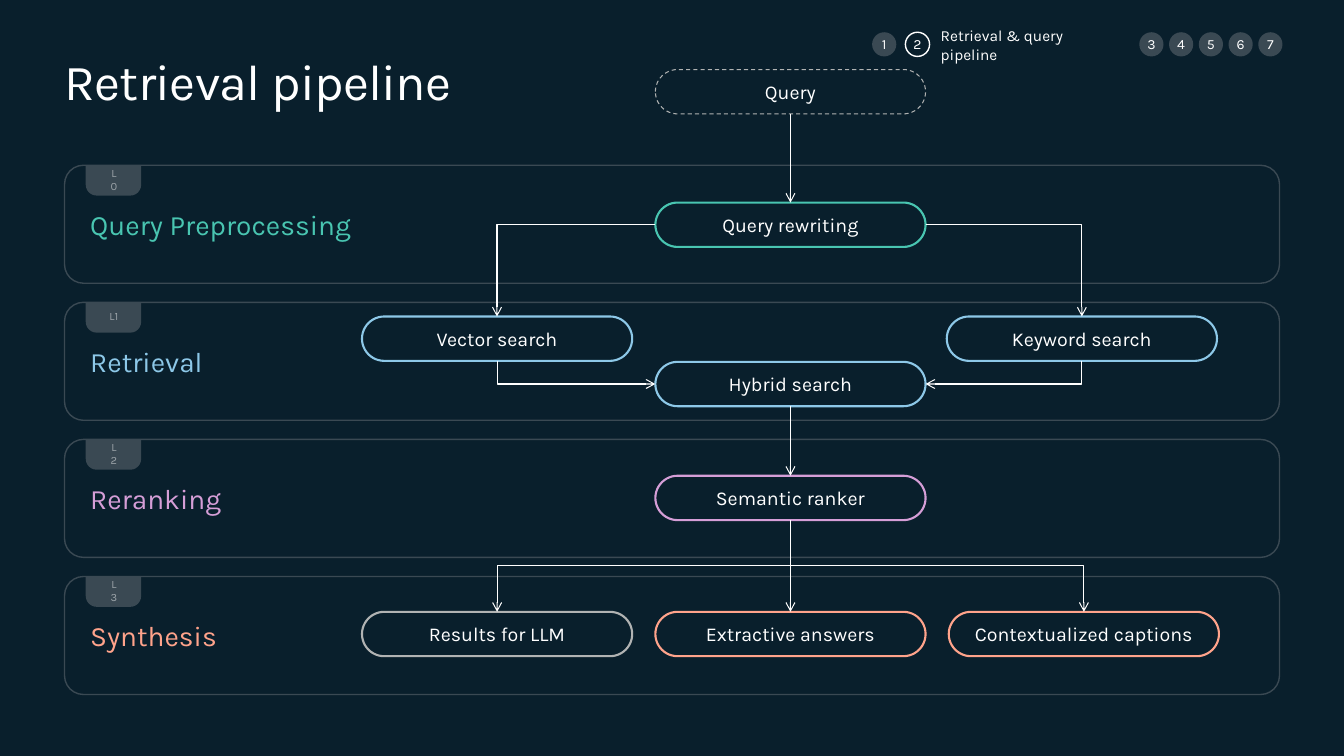
from lxml import etree
from pptx import Presentation
from pptx.dml.color import RGBColor
from pptx.enum.dml import MSO_LINE
from pptx.enum.shapes import MSO_CONNECTOR, MSO_SHAPE
from pptx.enum.text import MSO_ANCHOR, PP_ALIGN
from pptx.oxml.ns import qn
from pptx.util import Inches, Pt

ROUND, OVAL = MSO_SHAPE.ROUNDED_RECTANGLE, MSO_SHAPE.OVAL
TAB = MSO_SHAPE.ROUND_2_SAME_RECTANGLE
STRAIGHT, ELBOW = MSO_CONNECTOR.STRAIGHT, MSO_CONNECTOR.ELBOW
TOP, MIDDLE = MSO_ANCHOR.TOP, MSO_ANCHOR.MIDDLE
LEFT, CENTER = PP_ALIGN.LEFT, PP_ALIGN.CENTER
DASH = MSO_LINE.DASH

FONT = "Karla"
COLORS = {
    "back": "091F2C", "white": "FFFFFF", "slate": "3A4953", "gray": "B1B3B3",
    "teal": "49C5B1", "blue": "8DC8E8", "pink": "D59ED7", "coral": "FFA38B",
}

# Stage bands, from top to bottom
STAGES = [("Query Preprocessing", "teal"), ("Retrieval", "blue"),
          ("Reranking", "pink"), ("Synthesis", "coral")]
BAND_TOP, BAND_STEP = 1.64, 1.36

# Pills: label, left, top, line colour
COLS = [3.59 + 2.91 * i for i in range(3)]
PILLS = {
    "query": ("Query", COLS[1], 0.69, "gray"),
    "rewrite": ("Query rewriting", COLS[1], 2.01, "teal"),
    "vector": ("Vector search", COLS[0], 3.14, "blue"),
    "hybrid": ("Hybrid search", COLS[1], 3.59, "blue"),
    "keyword": ("Keyword search", 9.39, 3.14, "blue"),
    "ranker": ("Semantic ranker", COLS[1], 4.72, "pink"),
    "answers": ("Extractive answers", COLS[1], 6.07, "coral"),
    "captions": ("Contextualized captions", COLS[2], 6.07, "coral"),
    "results": ("Results for LLM", COLS[0], 6.07, "gray"),
}

# Arrows: from, side, to, side, preset (sides: 0 top, 1 left, 2 bottom, 3 right)
ARROWS = [
    ("query", 2, "rewrite", 0, "line"),
    ("rewrite", 1, "vector", 0, "bentConnector2"),
    ("rewrite", 3, "keyword", 0, "bentConnector2"),
    ("vector", 2, "hybrid", 1, "bentConnector2"),
    ("keyword", 2, "hybrid", 3, "bentConnector2"),
    ("hybrid", 2, "ranker", 0, "line"),
    ("ranker", 2, "results", 0, "bentConnector3"),
    ("ranker", 2, "captions", 0, "bentConnector3"),
    ("ranker", 2, "answers", 0, "line"),
]


def color(name):
    return RGBColor.from_string(COLORS[name])


def write(shape, text, size, hue="white", align=LEFT, anchor=MIDDLE,
          pad=(0, 0, 0, 0), wrap=True):
    frame = shape.text_frame
    style = {"word_wrap": wrap, "vertical_anchor": anchor}
    sides = ("left", "top", "right", "bottom")
    style.update({f"margin_{s}": Inches(p) for s, p in zip(sides, pad)})
    for key, value in style.items():
        setattr(frame, key, value)
    para = frame.paragraphs[0]
    para.alignment = align
    run = para.add_run()
    run.text = text
    for key, value in {"name": FONT, "size": Pt(size)}.items():
        setattr(run.font, key, value)
    run.font.color.rgb = color(hue)
    return run


def label(slide, box, text, size, **style):
    return write(slide.shapes.add_textbox(*map(Inches, box)), text, size, **style)


def block(slide, kind, box, fill=None, line=None, width=1, adjust=()):
    shape = slide.shapes.add_shape(kind, *map(Inches, box))
    shape.shadow.inherit = False
    for i, value in enumerate(adjust):
        shape.adjustments[i] = value
    if fill:
        shape.fill.solid()
        shape.fill.fore_color.rgb = color(fill)
    else:
        shape.fill.background()
    if line:
        shape.line.color.rgb = color(line)
        shape.line.width = Pt(width)
    else:
        shape.line.fill.background()
    return shape


def band(slide, row, name, hue):
    top = BAND_TOP + BAND_STEP * row
    tab = block(slide, TAB, (0.85, top, 0.55, 0.3), "slate", adjust=(0.36, 0))
    tab.rotation = 180
    run = label(slide, (1.08, top, 0.1, 0.3), f"L{row}", 8,
                align=CENTER, pad=(0, 0, 0, 0.02))
    # Half-transparent level text
    tint = run.font._element.find(".//" + qn("a:srgbClr"))
    etree.SubElement(tint, qn("a:alpha"), val="50000")
    area = block(slide, ROUND, (0.64, top, 12.05, 1.17), line="slate", adjust=(0.16,))
    write(area, name, 20, hue, pad=(0.2, 0.16, 0.2, 0.16))


def pill(slide, text, left, top, hue):
    shape = block(slide, ROUND, (left, top, 2.68, 0.44), line=hue,
                  width=1.5, adjust=(0.5,))
    write(shape, text, 14, align=CENTER, pad=(0.2, 0.04, 0.2, 0.04), wrap=False)
    return shape


def turn(link):
    """Make an elbow leave its start downwards."""
    left, top, wide, high = link.left, link.top, link.width, link.height
    right = link.end_x > link.begin_x
    frame = link._element.spPr.find(qn("a:xfrm"))
    for key in ("flipH", "flipV"):
        frame.attrib.pop(key, None)
    frame.set("rot", str((270 if right else 90) * 60000))
    if right:
        frame.set("flipH", "1")
    shift = (wide - high) // 2
    place = {"left": left + shift, "top": top - shift, "width": high, "height": wide}
    for key, value in place.items():
        setattr(link, key, value)


def arrow(slide, start, out, end, into, preset):
    kind = STRAIGHT if preset == "line" else ELBOW
    link = slide.shapes.add_connector(kind, 0, 0, 0, 0)
    link.begin_connect(start, out)
    link.end_connect(end, into)
    link.line.color.rgb = color("white")
    link.line.width = Pt(0.75)
    props = link._element.spPr
    props.find(qn("a:prstGeom")).set("prst", preset)
    etree.SubElement(props.find(qn("a:ln")), qn("a:tailEnd"), type="arrow")
    etree.SubElement(props, qn("a:effectLst"))
    if kind == ELBOW and out == 2:
        turn(link)


def dot(slide, number, left, live):
    shape = block(slide, OVAL, (left, 0.32, 0.24, 0.24),
                  "back" if live else "slate", "white" if live else None)
    write(shape, str(number), 10, align=CENTER)


def main():
    deck = Presentation()
    deck.slide_width, deck.slide_height = Inches(13.33), Inches(7.5)
    slide = deck.slides.add_slide(deck.slide_layouts[6])
    slide.background.fill.solid()
    slide.background.fill.fore_color.rgb = color("back")

    # Title
    title = label(slide, (0.64, 0.5, 7.93, 0.61), "Retrieval pipeline", 36, anchor=TOP)
    title.font._element.set("spc", "-50")

    # Bands
    for row, (name, hue) in enumerate(STAGES):
        band(slide, row, name, hue)

    # Flow
    pills = {key: pill(slide, *spec_row) for key, spec_row in PILLS.items()}
    pills["query"].line.dash_style = DASH
    pills["query"].line.width = Pt(0.75)
    for start, out, end, into, preset in ARROWS:
        arrow(slide, pills[start], out, pills[end], into, preset)

    # Section tracker
    lefts = [8.65, 8.98] + [11.3 + 0.295 * i for i in range(5)]
    for number, left in enumerate(lefts, 1):
        dot(slide, number, left, number == 2)
    label(slide, (9.21, 0.35, 1.92, 0.19), "Retrieval & query pipeline", 11,
          pad=(0.12, 0, 0, 0))

    deck.save("out.pptx")


if __name__ == "__main__":
    main()
